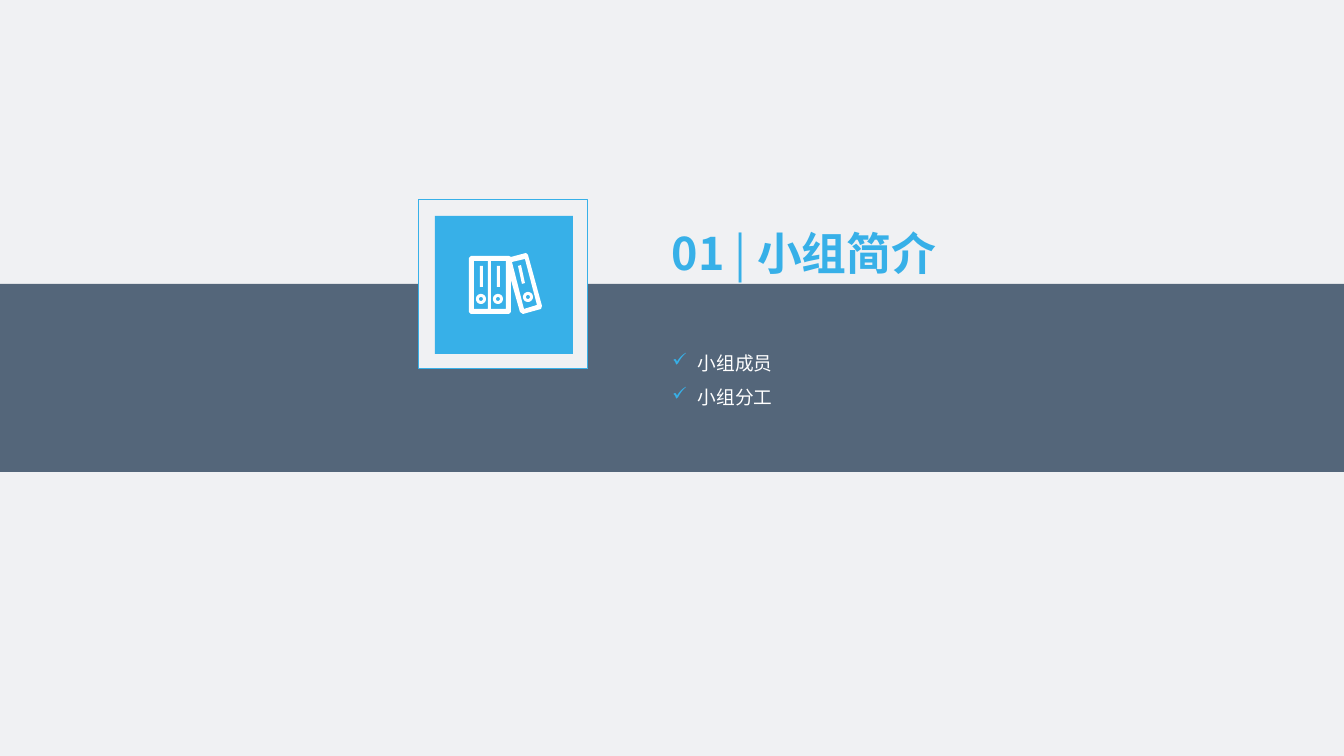
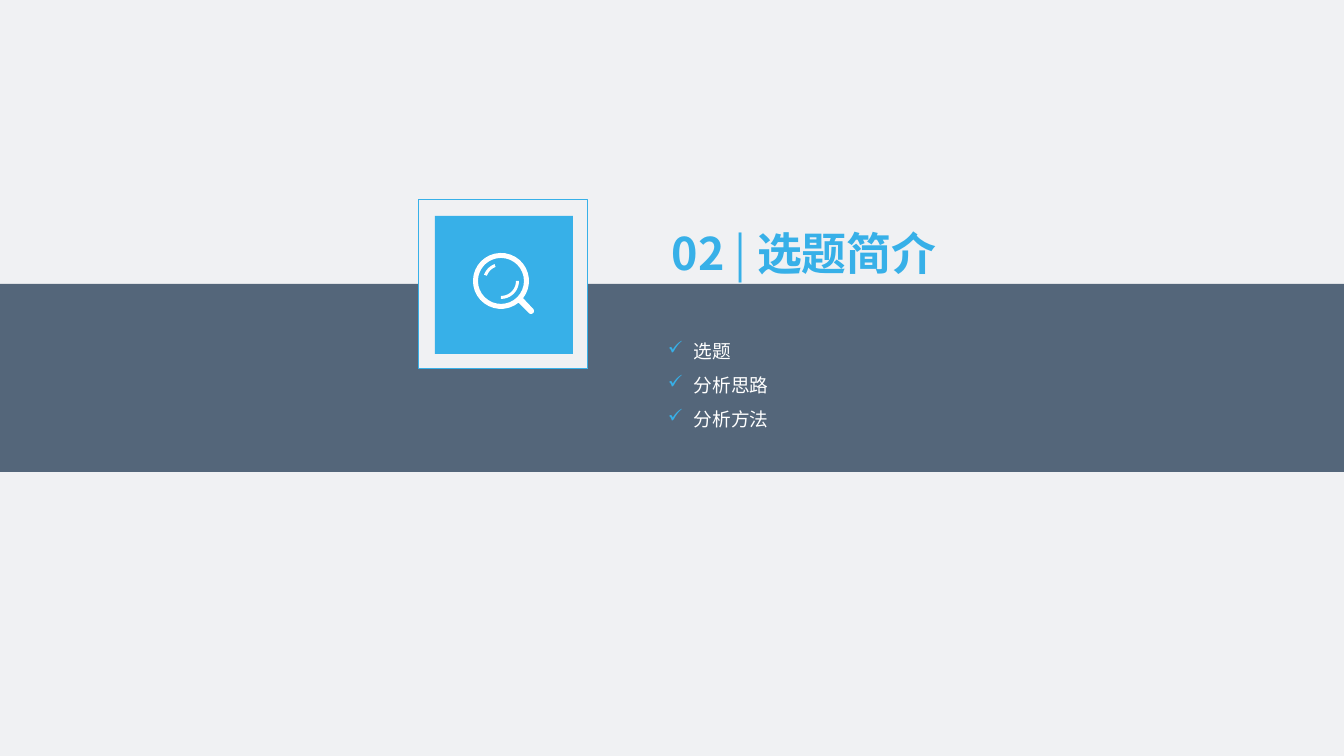
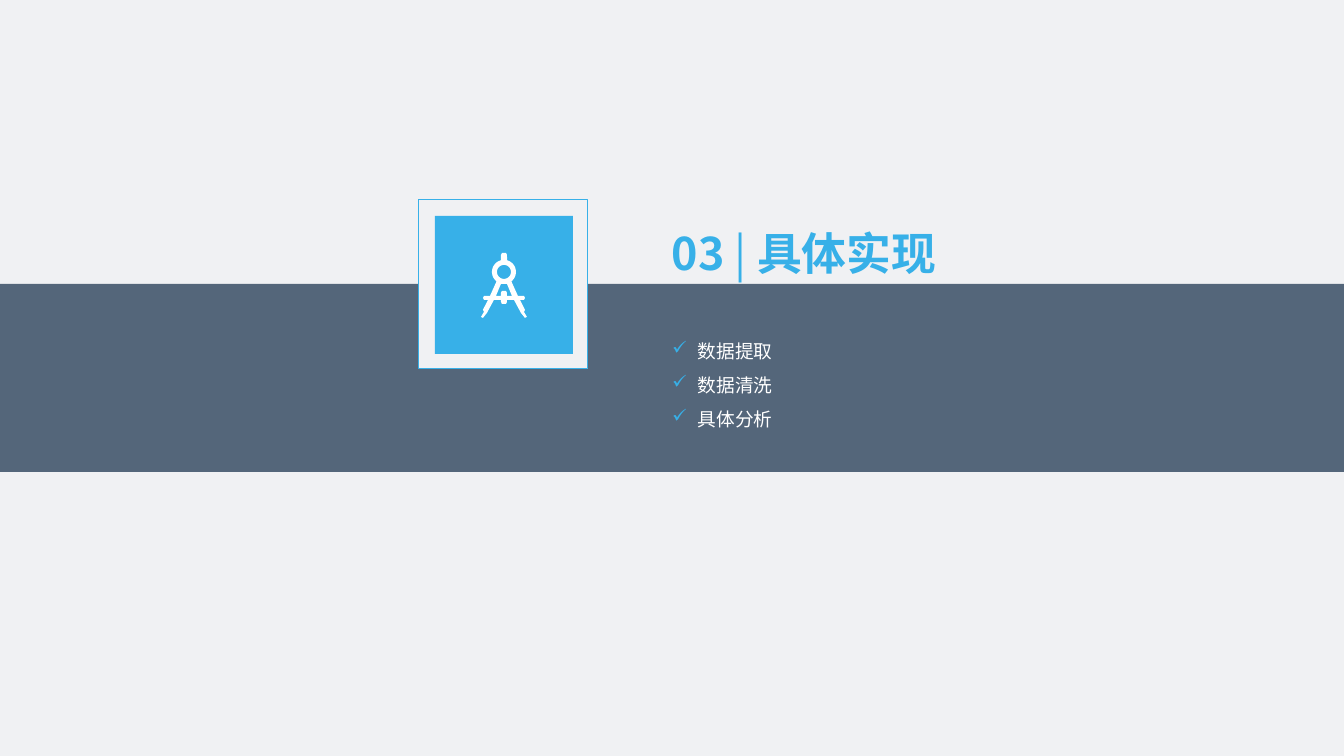
import math
from dataclasses import dataclass

from lxml import etree
from pptx import Presentation
from pptx import util as u
from pptx.dml.color import RGBColor
from pptx.enum import shapes, text
from pptx.oxml import ns

PX = 914400 / 134.4


@dataclass(frozen=True)
class Theme:
    paper: RGBColor = RGBColor.from_string("F0F1F3")
    slate: RGBColor = RGBColor.from_string("54667A")
    accent: RGBColor = RGBColor.from_string("37B0E8")
    white: RGBColor = RGBColor.from_string("FFFFFF")
    title_font: str = "Noto Sans CJK SC"
    list_font: str = "Roboto Condensed"
    title_size: int = 24
    list_size: int = 10
    outline: float = 0.5
    line_spacing: float = 1.5


theme = Theme()


def add_text(slide, paragraphs, box, *, font, size, color, bullet=None, indent=26):
    """Add a text box; each paragraph is a list of (wording, bold) runs."""
    frame = slide.shapes.add_textbox(*[round(n * PX) for n in box]).text_frame
    frame.word_wrap = True
    frame.auto_size = text.MSO_AUTO_SIZE.SHAPE_TO_FIT_TEXT
    frame.margin_left = frame.margin_top = frame.margin_right = frame.margin_bottom = 0
    for index, runs in enumerate(paragraphs):
        paragraph = frame.add_paragraph() if index else frame.paragraphs[0]
        paragraph.line_spacing = theme.line_spacing
        if bullet:
            properties = paragraph._p.get_or_add_pPr()
            properties.set("marL", str(round(indent * PX)))
            properties.set("indent", str(round(-indent * PX)))
            bullet_color = etree.SubElement(properties, ns.qn("a:buClr"))
            etree.SubElement(bullet_color, ns.qn("a:srgbClr"), val=str(theme.accent))
            etree.SubElement(properties, ns.qn("a:buChar"), char=bullet)
        for wording, bold in runs:
            run = paragraph.add_run()
            run.text = wording
            run.font.name, run.font.size, run.font.bold = font, u.Pt(size), bold
            run.font.color.rgb = color
            etree.SubElement(run._r.get_or_add_rPr(), ns.qn("a:ea"),
                             typeface=theme.title_font)


def arc(x, y, radius, start=0, end=360, steps=32):
    """Points along an arc, in degrees clockwise from the right."""
    angles = [math.radians(start + (end - start) * i / steps) for i in range(steps + 1)]
    return [(x + radius * math.cos(a), y + radius * math.sin(a)) for a in angles]


# Binders icon: outline, label windows, rings and slots
binders = [
    [(469, 258), (471, 256), (509, 256), (511, 257), (526, 253), (528, 255),
     (542, 306), (541, 309), (523, 314), (520, 312), (511, 280), (511, 312),
     (509, 314), (471, 314), (469, 312)],
    [(512, 262), (525, 259), (537, 305), (524, 309)],
    [(518, 266), (521, 265), (525, 283), (522, 284)],
]
for left, right in [(474, 488), (491, 506)]:
    middle = (left + right) // 2
    binders.append([(left, 261), (right, 261), (right, 309), (left, 309)])
    binders.append([(middle - 1, 266), (middle + 2, 266),
                    (middle + 2, 287), (middle - 1, 287)])
for x, y in [(481, 299), (498, 299), (528, 297)]:
    binders += [arc(x, y, 5), arc(x, y, 2)]

# Magnifier icon: rim with handle, lens and two reflections
lens = (501, 281)
magnifier = [arc(*lens, 28, 51, 398) + arc(531, 311, 3, -45, 135), arc(*lens, 23)]
for start, end in [(200, 249), (0, 90)]:
    magnifier.append(arc(*lens, 18, start, end) + arc(*lens, 15, end, start))

# Compass icon: right halves mirrored about the axis
axis = 504
outer_half = [(0, 253), (2, 253), (3, 255), *arc(0, 272, 12, -75, 52),
              (14, 296), (20, 296), (21, 298), (20, 300), (16, 300), (21, 310),
              (20, 312), (23, 317), (21, 318), (17, 313), (10, 300), (3, 300),
              (3, 302), (2, 304), (0, 304)]
gap_half = [(0, 284), (3, 284), (8, 296), (3, 296), (3, 293), (2, 291), (0, 291)]
compass = [arc(axis, 272, 7)]
for half in (outer_half, gap_half):
    compass.append([(axis + x, y) for x, y in half]
                   + [(axis - x, y) for x, y in reversed(half)])

# Sections: title, list items, list box, icon
sections = [
    ("小组简介", ["小组成员", "小组分工"], (672, 341, 210, 63), binders),
    ("选题简介", ["选题", "分析思路", "分析方法"], (668, 329, 210, 97), magnifier),
    ("具体实现", ["数据提取", "数据清洗", "具体分析"], (672, 329, 210, 98), compass),
]
blocks = [
    ((0, 284, 1344, 188), theme.slate, None),
    ((419, 200, 169, 169), theme.paper, theme.accent),
    ((435, 216, 138, 138), theme.accent, None),
]

presentation = Presentation()
presentation.slide_width = round(1344 * PX)
presentation.slide_height = round(756 * PX)

for number, (title, items, list_box, icon) in enumerate(sections, start=1):
    slide = presentation.slides.add_slide(presentation.slide_layouts[6])
    slide.background.fill.solid()
    slide.background.fill.fore_color.rgb = theme.paper

    # Band, frame and tile
    for box, fill, line in blocks:
        shape = slide.shapes.add_shape(shapes.MSO_SHAPE.RECTANGLE,
                                       *[round(n * PX) for n in box])
        shape.shadow.inherit = False
        shape.fill.solid()
        shape.fill.fore_color.rgb = fill
        if line:
            shape.line.color.rgb = line
            shape.line.width = u.Pt(theme.outline)
        else:
            shape.line.fill.background()

    # List and title
    add_text(slide, [[(item, None)] for item in items], list_box, font=theme.list_font,
             size=theme.list_size, color=theme.white, bullet="✓")
    add_text(slide, [[(f"{number:02} ", True), ("| ", False), (title, True)]],
             (672, 199, 349, 71), font=theme.title_font, size=theme.title_size,
             color=theme.accent)

    # Icon
    contours = [[(x * PX, y * PX) for x, y in contour] for contour in icon]
    builder = slide.shapes.build_freeform(*contours[0][0])
    builder.add_line_segments(contours[0][1:])
    for contour in contours[1:]:
        builder.move_to(*contour[0])
        builder.add_line_segments(contour[1:])
    shape = builder.convert_to_shape()
    shape.shadow.inherit = False
    shape.fill.solid()
    shape.fill.fore_color.rgb = theme.white
    shape.line.fill.background()

presentation.save("out.pptx")
